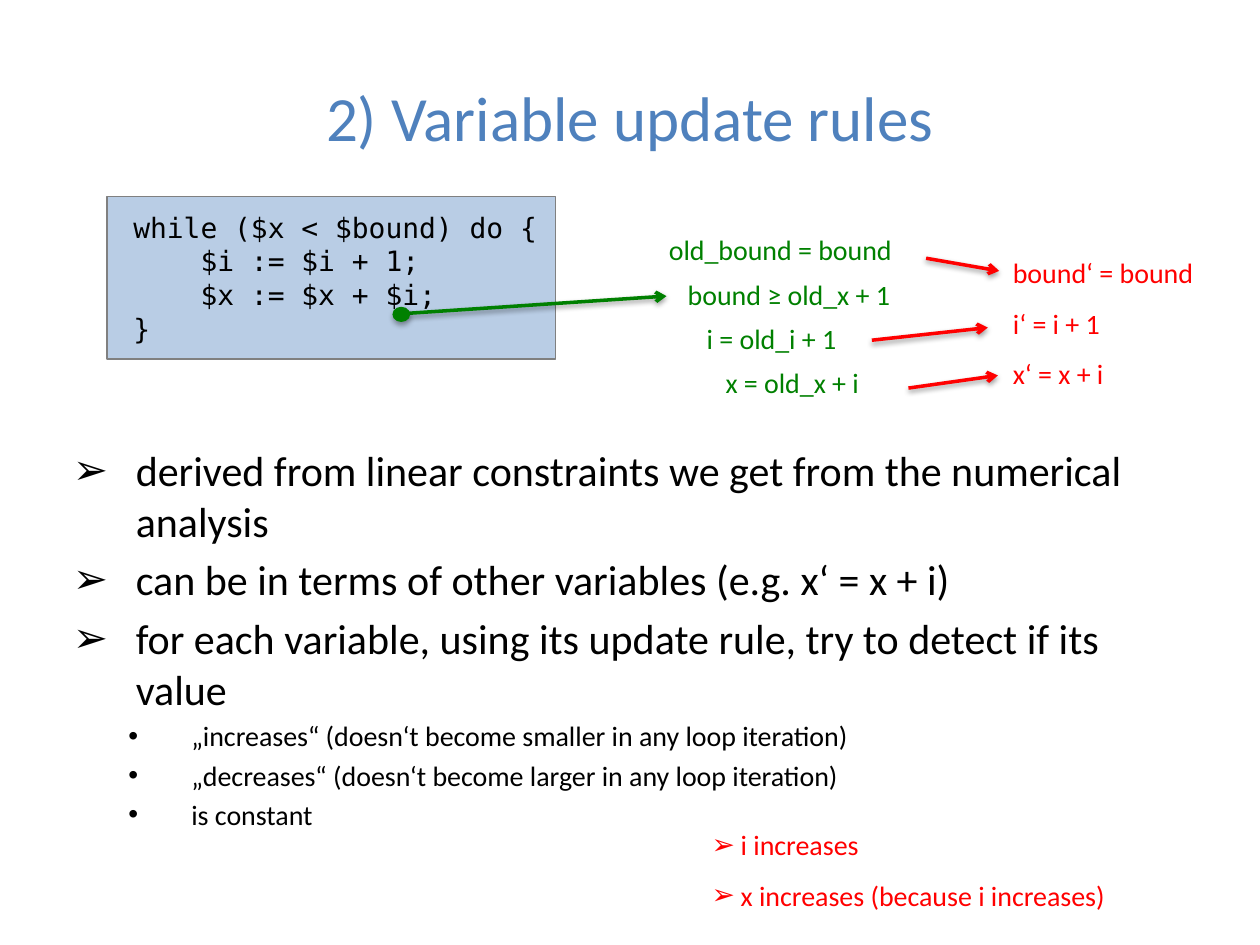
from lxml.etree import SubElement
from pptx import Presentation
from pptx.dml.color import RGBColor
from pptx.enum.shapes import MSO_CONNECTOR, MSO_SHAPE
from pptx.enum.text import MSO_ANCHOR, PP_ALIGN
from pptx.oxml.ns import qn
from pptx.util import Inches, Pt

BLACK, GREEN, RED, BLUE = "000000", "008000", "FF0000", "4F81BD"
SANS, MONO = "Calibri", "DejaVu Sans Mono"


def color(hex_code):
    return RGBColor.from_string(hex_code)


def add_frame(slide, left, top, width, height):
    box = slide.shapes.add_textbox(Inches(left), Inches(top), Inches(width), Inches(height))
    box.text_frame.word_wrap = True
    return box.text_frame


def add_line(frame, text, size, hex_code, font=SANS, before=0, after=0,
             margin=0, hanging=0, bullet=None):
    """Append one paragraph; the first one fills the frame's empty paragraph."""
    first = not frame.paragraphs[0].runs
    paragraph = frame.paragraphs[0] if first else frame.add_paragraph()
    properties = paragraph._p.get_or_add_pPr()
    properties.set("marL", str(Inches(margin)))
    properties.set("indent", str(-Inches(hanging)))
    if bullet:
        SubElement(properties, qn("a:buFont"), typeface="Arial")
        SubElement(properties, qn("a:buChar"), char=bullet)
    paragraph.space_before = Pt(0 if first else before)
    paragraph.space_after = Pt(after)
    run = paragraph.add_run()
    run.text = text
    run.font.name = font
    run.font.size = Pt(size)
    run.font.color.rgb = color(hex_code)
    return paragraph


def add_shadow(shape, opacity, distance):
    effects = SubElement(shape._element.spPr, qn("a:effectLst"))
    shadow = SubElement(effects, qn("a:outerShdw"), blurRad=str(Pt(3.1)),
                        dist=str(Pt(distance)), dir="5400000", rotWithShape="0")
    black = SubElement(shadow, qn("a:srgbClr"), val=BLACK)
    SubElement(black, qn("a:alpha"), val=str(opacity * 1000))


def add_arrow(slide, start, end, hex_code):
    arrow = slide.shapes.add_connector(MSO_CONNECTOR.STRAIGHT,
                                       *(Inches(value) for value in (*start, *end)))
    arrow.line.color.rgb = color(hex_code)
    arrow.line.width = Pt(2)
    SubElement(arrow.line._get_or_add_ln(), qn("a:tailEnd"), type="arrow")
    add_shadow(arrow, 38, 1.6)


def add_title(slide, left, top, width, height):
    frame = add_frame(slide, left, top, width, height)
    frame.vertical_anchor = MSO_ANCHOR.MIDDLE
    title = add_line(frame, "2) Variable update rules", 36, BLUE)
    title.alignment = PP_ALIGN.CENTER


def add_code(slide, left, top, width, height):
    panel = slide.shapes.add_shape(MSO_SHAPE.RECTANGLE, Inches(left), Inches(top),
                                   Inches(width), Inches(height))
    panel.shadow.inherit = False
    panel.fill.solid()
    panel.fill.fore_color.rgb = color("B9CDE5")
    panel.line.color.rgb = color("808080")
    panel.line.width = Pt(0.75)
    code = add_frame(slide, left + 0.11, top + 0.06, 4.18, 1.48)
    for statement in ("while ($x < $bound) do {", "    $i := $i + 1;",
                      "    $x := $x + $i;", "}"):
        add_line(code, statement, 16, BLACK, MONO)


def add_constraints(slide, left, top, width, height):
    frame = add_frame(slide, left, top, width, height)
    constraints = ("old_bound = bound", "bound ≥ old_x + 1", "i = old_i + 1", "x = old_x + i")
    for step, constraint in enumerate(constraints):
        add_line(frame, constraint, 16, GREEN, after=6, margin=0.15 * step)


def add_program_point(slide, left, top, width, height):
    """Dot after the last loop statement, with an arrow to its constraints."""
    add_arrow(slide, (left + 0.07, top + 0.05), (5.29, 2.35), GREEN)
    dot = slide.shapes.add_shape(MSO_SHAPE.OVAL, Inches(left), Inches(top),
                                 Inches(width), Inches(height))
    dot.fill.solid()
    dot.fill.fore_color.rgb = color(GREEN)
    dot.line.color.rgb = color(GREEN)
    dot.line.width = Pt(0.75)
    add_shadow(dot, 35, 1.8)


def add_update_rules(slide, left, top, width, height):
    frame = add_frame(slide, left, top, width, height)
    for rule in ("bound‘ = bound", "i‘ = i + 1", "x‘ = x + i"):
        add_line(frame, rule, 16, RED, before=9.75)
    # Arrows from each constraint to the rule derived from it
    for start, end in (((7.35, 2.05), (7.93, 2.15)),
                       ((6.92, 2.7), (7.84, 2.6)),
                       ((7.21, 3.08), (7.92, 2.98))):
        add_arrow(slide, start, end, RED)


def add_explanation(slide, left, top, width, height):
    frame = add_frame(slide, left, top, width, height)
    for point in ("derived from linear constraints we get from the numerical analysis",
                  "can be in terms of other variables (e.g. x‘ = x + i)",
                  "for each variable, using its update rule, try to detect if its value"):
        add_line(frame, point, 24, BLACK, before=4.8, margin=0.5, hanging=0.5, bullet="➢")
    for outcome in ("„increases“ (doesn‘t become smaller in any loop iteration)",
                    "„decreases“ (doesn‘t become larger in any loop iteration)",
                    "is constant"):
        add_line(frame, outcome, 16, BLACK, before=3.2, margin=0.94, hanging=0.5, bullet="•")


def add_conclusions(slide, left, top, width, height):
    frame = add_frame(slide, left, top, width, height)
    for conclusion in ("i increases", "x increases (because i increases)"):
        add_line(frame, conclusion, 16, RED, before=9.75, margin=0.23, hanging=0.23, bullet="➢")


def main():
    deck = Presentation()
    deck.slide_width, deck.slide_height = Inches(10), Inches(7.5)
    slide = deck.slides.add_slide(deck.slide_layouts[6])
    add_title(slide, 0.5, 0.3, 9, 1.25)
    add_explanation(slide, 0.48, 3.48, 8.83, 3.87)
    add_code(slide, 0.85, 1.56, 3.56, 1.29)
    add_constraints(slide, 5.21, 1.8, 2.68, 2.17)
    add_program_point(slide, 3.12, 2.44, 0.13, 0.11)
    add_update_rules(slide, 7.94, 1.98, 1.88, 1.18)
    add_conclusions(slide, 5.55, 6.52, 4.01, 0.91)
    deck.save("out.pptx")


if __name__ == "__main__":
    main()
